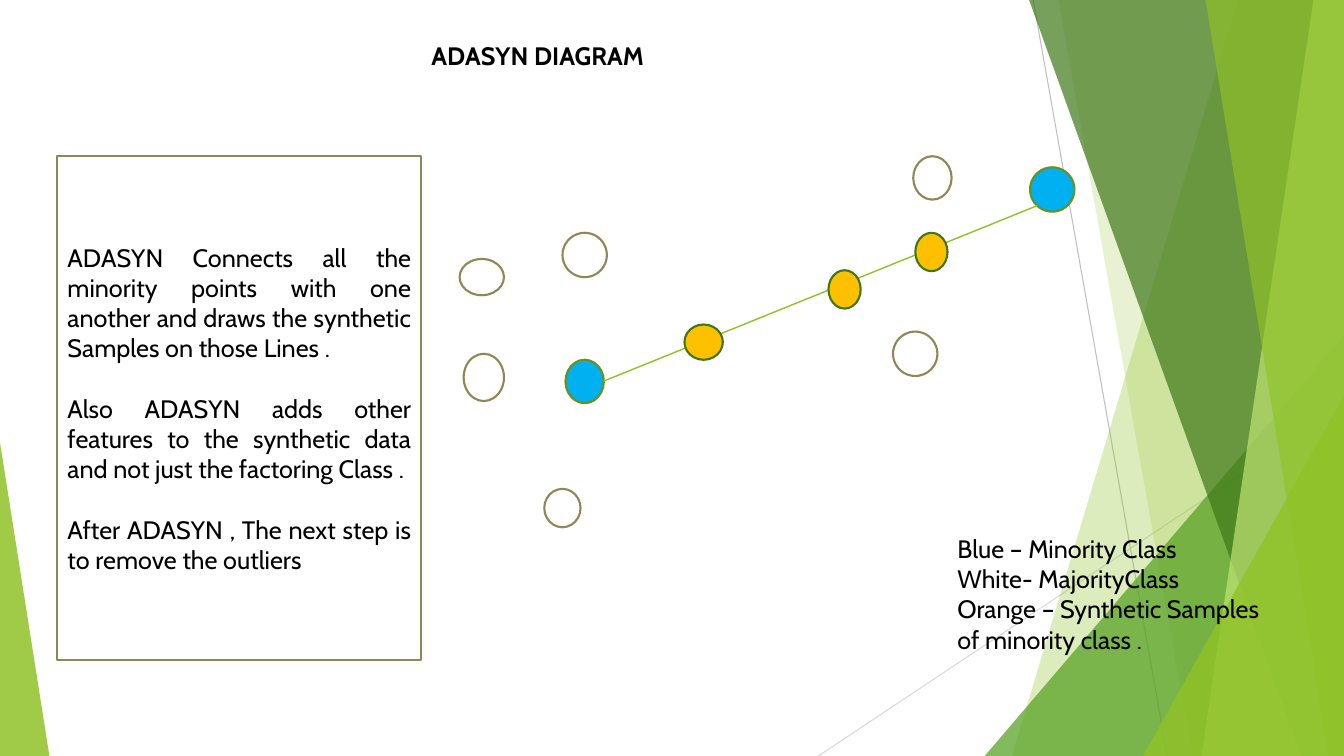
from dataclasses import dataclass

import lxml.etree
import pptx
import pptx.dml.color
import pptx.enum.shapes
import pptx.enum.text
import pptx.oxml.ns
import pptx.shapes.autoshape
import pptx.slide
import pptx.text.text
import pptx.util

Pt = pptx.util.Pt
RGBColor = pptx.dml.color.RGBColor
Shapes = pptx.enum.shapes.MSO_SHAPE
Align = pptx.enum.text.PP_ALIGN
Anchor = pptx.enum.text.MSO_ANCHOR
qn = pptx.oxml.ns.qn

WIDTH, HEIGHT = 960, 540
FONT, FONT_SIZE = "Cabin", 18

BLACK = RGBColor(0x00, 0x00, 0x00)
WHITE = RGBColor(0xFF, 0xFF, 0xFF)
BLUE = RGBColor(0x00, 0xB0, 0xF0)
ORANGE = RGBColor(0xFF, 0xC0, 0x00)
BROWN = RGBColor(0x91, 0x86, 0x55)
OLIVE = RGBColor(0x6B, 0x90, 0x1C)
LIME = RGBColor(0x90, 0xC2, 0x26)
PALE_LIME = RGBColor(0xC0, 0xE4, 0x74)
GREEN = RGBColor(0x54, 0xA0, 0x21)
DARK_GREEN = RGBColor(0x3F, 0x78, 0x19)
SAMPLE_GREEN = RGBColor(0x3E, 0x76, 0x18)
GRAY = RGBColor(0xBF, 0xBF, 0xBF)
LIGHT_GRAY = RGBColor(0xD9, 0xD9, 0xD9)


@dataclass
class Line:
    x1: float
    y1: float
    x2: float
    y2: float
    color: RGBColor
    width: float


@dataclass
class Band:
    """A full-height band that reaches the right edge of the slide."""
    top_left: float
    bottom_left: float
    color: RGBColor
    opacity: int


@dataclass
class Triangle:
    """A right triangle standing on the bottom edge of the slide."""
    left: float
    width: float
    height: float
    apex: float
    color: RGBColor
    opacity: int


@dataclass
class PointClass:
    fill: RGBColor
    outline: RGBColor
    ovals: list[tuple[float, float, float, float]]


BACKGROUND_LINES = [
    Line(738, 0, 833.8, HEIGHT, GRAY, 0.75),
    Line(WIDTH, 290.2, 584.6, HEIGHT, LIGHT_GRAY, 0.75),
]
FACETS = [
    Band(884.2, 722.9, LIME, 30),
    Band(756, 851.8, LIME, 20),
    Triangle(703.4, 256.6, 300.2, 1, GREEN, 72),
    Band(735.1, 929.5, DARK_GREEN, 70),
    Band(938.2, 858.2, PALE_LIME, 70),
    Band(861.1, 949, LIME, 65),
    Triangle(816.5, 143.5, 257, 1, LIME, 80),
    Triangle(0, 35.3, 223.9, 0, LIME, 85),
]
MAJORITY = PointClass(WHITE, BROWN, [
    (401.8, 166.3, 31.7, 31.7),
    (388.8, 349.2, 25.9, 27.4),
    (637.9, 236.9, 31.7, 31.7),
    (328.3, 185, 31.7, 25.9),
    (331.2, 252.7, 28.8, 33.8),
    (652.3, 111.6, 27.4, 31),
])
MINORITY = PointClass(BLUE, OLIVE, [
    (403.9, 257, 27.4, 31),
    (735.8, 119.5, 31.7, 31.7),
])
SYNTHETIC = PointClass(ORANGE, SAMPLE_GREEN, [
    (488.9, 231.8, 27.4, 25.2),
    (591.8, 193, 23, 27.4),
    (653.8, 166.3, 23, 27.4),
])
MINORITY_LINK = Line(431.3, 272.2, 740.9, 146.9, LIME, 1)

EXPLANATION = [
    "ADASYN Connects all the minority points with one another and draws "
    "the synthetic Samples on those Lines .",
    "Also ADASYN adds other features to the synthetic data and not just "
    "the factoring Class .",
    "After ADASYN , The next step is to remove the outliers",
]
LEGEND = [
    "Blue – Minority Class",
    "White- MajorityClass",
    "Orange – Synthetic Samples of minority class .",
]


def draw_line(slide: pptx.slide.Slide, line: Line) -> None:
    connector = slide.shapes.add_connector(
        pptx.enum.shapes.MSO_CONNECTOR.STRAIGHT,
        Pt(line.x1), Pt(line.y1), Pt(line.x2), Pt(line.y2))
    connector.line.color.rgb = line.color
    connector.line.width = Pt(line.width)
    properties = connector._element.spPr
    lxml.etree.SubElement(properties, qn("a:effectLst"))


def draw_facet(slide: pptx.slide.Slide, facet: Band | Triangle) -> None:
    if isinstance(facet, Band):
        builder = slide.shapes.build_freeform(Pt(facet.top_left), 0)
        builder.add_line_segments([
            (Pt(WIDTH), 0), (Pt(WIDTH), Pt(HEIGHT)),
            (Pt(facet.bottom_left), Pt(HEIGHT))], close=True)
        shape = builder.convert_to_shape()
    else:
        shape = slide.shapes.add_shape(
            Shapes.ISOSCELES_TRIANGLE, Pt(facet.left),
            Pt(HEIGHT - facet.height), Pt(facet.width), Pt(facet.height))
        shape.adjustments[0] = facet.apex
    shape.shadow.inherit = False
    shape.line.fill.background()
    shape.fill.solid()
    shape.fill.fore_color.rgb = facet.color
    color = shape._element.spPr.find(qn("a:solidFill"))[0]
    alpha = lxml.etree.SubElement(color, qn("a:alpha"))
    alpha.set("val", str(facet.opacity * 1000))


def draw_points(slide: pptx.slide.Slide, points: PointClass) -> None:
    for oval in points.ovals:
        shape = slide.shapes.add_shape(Shapes.OVAL, *map(Pt, oval))
        shape.shadow.inherit = False
        paint(shape, points.fill, points.outline)


def paint(shape: pptx.shapes.autoshape.Shape, fill: RGBColor,
          outline: RGBColor) -> None:
    shape.fill.solid()
    shape.fill.fore_color.rgb = fill
    shape.line.color.rgb = outline
    shape.line.width = Pt(1.5)


def place(shape: pptx.shapes.autoshape.Shape, left: float, top: float,
          width: float, height: float) -> None:
    shape.left, shape.top = Pt(left), Pt(top)
    shape.width, shape.height = Pt(width), Pt(height)


def write(frame: pptx.text.text.TextFrame, texts: list[str], anchor: Anchor,
          alignment: Align = Align.LEFT, bold: bool = False,
          gap: float = 0) -> None:
    frame.word_wrap = True
    frame.auto_size = pptx.enum.text.MSO_AUTO_SIZE.NONE
    frame.vertical_anchor = anchor
    for index, text in enumerate(texts):
        paragraph = frame.add_paragraph() if index else frame.paragraphs[0]
        paragraph.alignment = alignment
        paragraph.space_before = Pt(gap if index else 0)
        properties = paragraph._p.get_or_add_pPr()
        properties.set("marL", "0")
        properties.set("indent", "0")
        lxml.etree.SubElement(properties, qn("a:buNone"))
        run = paragraph.add_run()
        run.text = text
        run.font.name = FONT
        run.font.size = Pt(FONT_SIZE)
        run.font.bold = bold
        run.font.color.rgb = BLACK


def main() -> None:
    presentation = pptx.Presentation()
    presentation.slide_width, presentation.slide_height = Pt(WIDTH), Pt(HEIGHT)
    slide = presentation.slides.add_slide(presentation.slide_layouts[1])

    # Green facets of the background
    for line in BACKGROUND_LINES:
        draw_line(slide, line)
    for facet in FACETS:
        draw_facet(slide, facet)

    # Title and explanation
    title = slide.shapes.title
    place(title, 301, 25.2, 637.2, 28.8)
    write(title.text_frame, ["ADASYN DIAGRAM"], Anchor.TOP, bold=True)
    body = slide.placeholders[1]
    place(body, 41, 111.6, 259.9, 360)
    paint(body, WHITE, BROWN)
    write(body.text_frame, EXPLANATION, Anchor.MIDDLE, Align.JUSTIFY, gap=21.6)

    # Data points, with the synthetic samples on the link
    draw_points(slide, MAJORITY)
    draw_points(slide, MINORITY)
    draw_line(slide, MINORITY_LINK)
    draw_points(slide, SYNTHETIC)

    # Legend
    legend = slide.shapes.add_textbox(Pt(676.8), Pt(377.3), Pt(234.7), Pt(94.3))
    write(legend.text_frame, LEGEND, Anchor.TOP)

    presentation.save("out.pptx")


if __name__ == "__main__":
    main()
